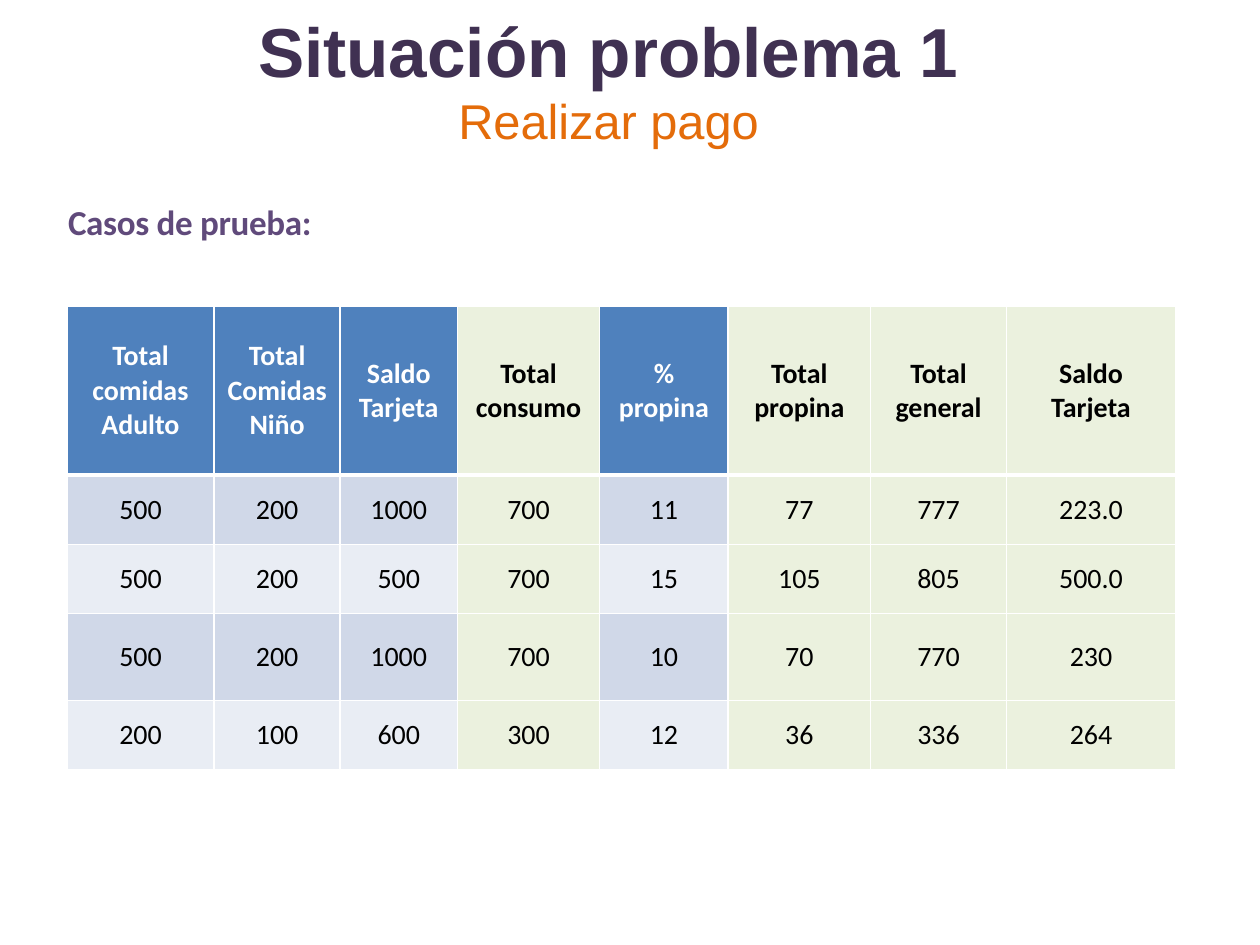
from lxml import etree
from pptx import Presentation
from pptx.dml.color import RGBColor
from pptx.enum.text import MSO_ANCHOR, MSO_AUTO_SIZE, PP_ALIGN
from pptx.oxml.ns import qn
from pptx.util import Inches, Pt

CENTER = PP_ALIGN.CENTER
MIDDLE = MSO_ANCHOR.MIDDLE
NO_AUTOFIT = MSO_AUTO_SIZE.NONE

WHITE = RGBColor(0xFF, 0xFF, 0xFF)
BLACK = RGBColor(0x00, 0x00, 0x00)
DARK_PURPLE = RGBColor(0x40, 0x31, 0x52)
PURPLE = RGBColor(0x60, 0x4A, 0x7B)
ORANGE = RGBColor(0xE4, 0x6C, 0x0A)
BLUE = RGBColor(0x4F, 0x81, 0xBD)
BAND_DARK = RGBColor(0xD0, 0xD8, 0xE8)
BAND_LIGHT = RGBColor(0xE9, 0xED, 0xF4)
GREEN = RGBColor(0xEB, 0xF1, 0xDE)

COLUMN_WIDTHS = [1.17, 1, 0.93, 1.13, 1.02, 1.13, 1.08, 1.34]
ROW_HEIGHTS = [1.34, 0.55, 0.55, 0.69, 0.55]
RESULT_COLUMNS = {3, 5, 6, 7}
ROWS = [
    ["Total comidas Adulto", "Total Comidas Niño", "Saldo\nTarjeta", "Total consumo",
     "% propina", "Total propina", "Total general", "Saldo Tarjeta"],
    ["500", "200", "1000", "700", "11", "77", "777", "223.0"],
    ["500", "200", "500", "700", "15", "105", "805", "500.0"],
    ["500", "200", "1000", "700", "10", "70", "770", "230"],
    ["200", "100", "600", "300", "12", "36", "336", "264"],
]


def format_font(font, name, size, color, bold):
    font.name = name
    font.size = Pt(size)
    font.color.rgb = color
    font.bold = bold


def add_border(cell, side, width):
    """Draw a white line on one side (L, R, T or B) of a table cell."""
    properties = cell._tc.get_or_add_tcPr()
    line = etree.SubElement(properties, qn(f"a:ln{side}"), w=str(Pt(width)))
    fill = etree.SubElement(line, qn("a:solidFill"))
    etree.SubElement(fill, qn("a:srgbClr"), val=str(WHITE))


presentation = Presentation()
presentation.slide_width = Inches(10)
presentation.slide_height = Inches(7.5)
slide = presentation.slides.add_slide(presentation.slide_layouts[5])

# Title and subtitle
title = slide.shapes.title
title.left, title.top = Inches(0.33), Inches(0)
title.width, title.height = Inches(9), Inches(1.25)
title_frame = title.text_frame
title_frame.text = "Situación problema 1\vRealizar pago"
title_frame.auto_size = NO_AUTOFIT
title_frame.vertical_anchor = MIDDLE
title_paragraph = title_frame.paragraphs[0]
title_paragraph.alignment = CENTER
heading, subtitle = title_paragraph.runs
format_font(heading.font, "Arial", 39.6, DARK_PURPLE, True)
format_font(subtitle.font, "Arial", 27.9, ORANGE, False)

# Section label
label = slide.shapes.add_textbox(Inches(0.53), Inches(1.59), Inches(2.48), Inches(0.42))
label_frame = label.text_frame
label_frame.word_wrap = True
label_frame.margin_left = label_frame.margin_right = 0
label_frame.margin_top = label_frame.margin_bottom = 0
label_frame.text = "Casos de prueba:"
label_paragraph = label_frame.paragraphs[0]
label_paragraph.space_after = Pt(6)
label_paragraph._p.get_or_add_pPr().set("marL", str(Inches(0.01)))
label_run = label_paragraph.runs[0]
format_font(label_run.font, "Calibri", 20, PURPLE, True)
label_run._r.get_or_add_rPr().set("spc", "-20")

# Test cases: input columns in blue, result columns in green
table = slide.shapes.add_table(
    len(ROWS), len(COLUMN_WIDTHS), Inches(0.53), Inches(2.43),
    Inches(sum(COLUMN_WIDTHS)), Inches(sum(ROW_HEIGHTS))).table
for column, width in zip(table.columns, COLUMN_WIDTHS):
    column.width = Inches(width)
for row, height in zip(table.rows, ROW_HEIGHTS):
    row.height = Inches(height)

for row_index, values in enumerate(ROWS):
    is_header = row_index == 0
    if is_header:
        input_fill = BLUE
    else:
        input_fill = BAND_DARK if row_index % 2 else BAND_LIGHT
    for column_index, value in enumerate(values):
        is_result = column_index in RESULT_COLUMNS
        cell = table.cell(row_index, column_index)
        add_border(cell, "L", 1)
        add_border(cell, "R", 1)
        add_border(cell, "T", 3 if row_index == 1 else 1)
        add_border(cell, "B", 3 if is_header else 1)
        cell.fill.solid()
        cell.fill.fore_color.rgb = GREEN if is_result else input_fill
        cell.vertical_anchor = MIDDLE
        cell.text_frame.text = value
        text_color = WHITE if is_header and not is_result else BLACK
        for paragraph in cell.text_frame.paragraphs:
            paragraph.alignment = CENTER
            format_font(paragraph.runs[0].font, "Calibri", 16, text_color, is_header)

presentation.save("out.pptx")
